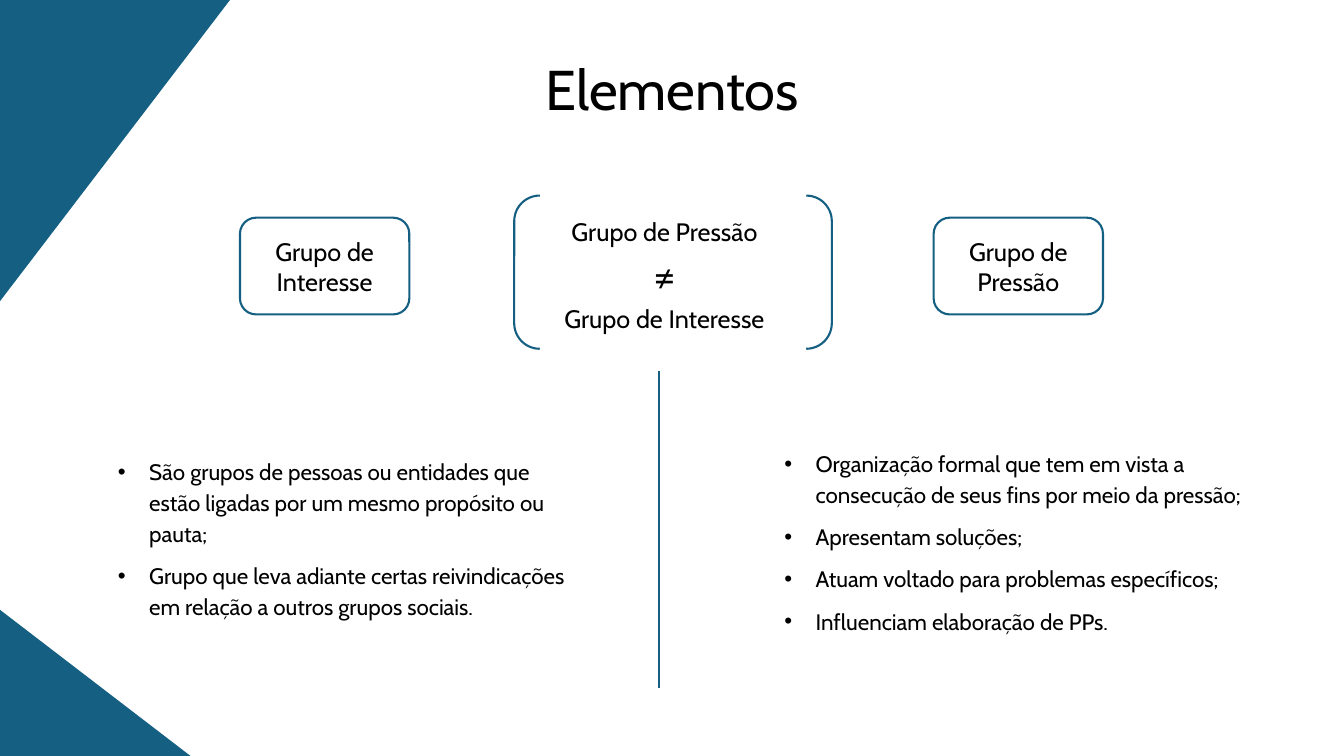
from dataclasses import dataclass

from lxml.etree import SubElement
from pptx import Presentation
from pptx.dml.color import RGBColor
from pptx.enum.shapes import MSO_CONNECTOR, MSO_SHAPE as Shp
from pptx.enum.text import MSO_ANCHOR as Anchor, MSO_AUTO_SIZE as AutoSize, PP_ALIGN as Align
from pptx.oxml.ns import qn
from pptx.util import Inches, Length, Pt

BLUE = "156082"
BLACK = "000000"
INDENT = Inches(0.31)

Box = tuple[float, float, float, float]


@dataclass
class Figure:
    kind: Shp
    box: Box
    filled: bool = False
    rotation: float = 0
    label: str = ""


@dataclass
class BulletList:
    box: Box
    items: list[str]


FIGURES = [
    Figure(Shp.RIGHT_TRIANGLE, (-0.36, 0.35, 3, 2.29), filled=True, rotation=90),
    Figure(Shp.RIGHT_TRIANGLE, (0, 6.05, 1.89, 1.45), filled=True),
    Figure(Shp.DOUBLE_BRACKET, (5.1, 1.94, 3.15, 1.52)),
    Figure(Shp.ROUNDED_RECTANGLE, (2.38, 2.16, 1.68, 0.96), label="Grupo de Interesse"),
    Figure(Shp.ROUNDED_RECTANGLE, (9.26, 2.16, 1.68, 0.96), label="Grupo de Pressão"),
]

LISTS = [
    BulletList((1.07, 4.46, 4.81, 2.51), [
        "São grupos de pessoas ou entidades que estão ligadas por um mesmo propósito ou pauta;",
        "Grupo que leva adiante certas reivindicações em relação a outros grupos sociais.",
    ]),
    BulletList((7.68, 4.38, 4.81, 2.74), [
        "Organização formal que tem em vista a consecução de seus fins por meio da pressão;",
        "Apresentam soluções;",
        "Atuam voltado para problemas específicos;",
        "Influenciam elaboração de PPs.",
    ]),
]


def rgb(value: str) -> RGBColor:
    return RGBColor.from_string(value)


def inches(box: Box) -> list[Length]:
    return [Inches(v) for v in box]


def place(sp, box: Box) -> None:
    sp.left, sp.top, sp.width, sp.height = inches(box)


def add_bullet(p) -> None:
    pPr = p._p.get_or_add_pPr()
    pPr.set("marL", str(INDENT))
    pPr.set("indent", str(-INDENT))
    SubElement(pPr, qn("a:buFont")).set("typeface", "Arial")
    SubElement(pPr, qn("a:buChar")).set("char", "•")


def write(sp, lines: list[str], size: float, font: str = "Cabin", anchor=Anchor.TOP,
          bullets: bool = False, **spacing) -> None:
    """Fill a shape with one paragraph per line; spacing holds paragraph attributes."""
    tf = sp.text_frame
    for name, value in {"word_wrap": True, "auto_size": AutoSize.NONE,
                        "vertical_anchor": anchor}.items():
        setattr(tf, name, value)
    layout = {"alignment": Align.LEFT if bullets else Align.CENTER,
              "space_before": Pt(0), **spacing}
    for i, line in enumerate(lines):
        p = tf.add_paragraph() if i else tf.paragraphs[0]
        for name, value in layout.items():
            setattr(p, name, value)
        if bullets:
            add_bullet(p)
        r = p.add_run()
        r.text = line
        for name, value in {"name": font, "size": Pt(size)}.items():
            setattr(r.font, name, value)
        r.font.color.rgb = rgb(BLACK)


def add_figure(s, figure: Figure) -> None:
    sp = s.shapes.add_shape(figure.kind, *inches(figure.box))
    sp.shadow.inherit = False
    sp.rotation = figure.rotation
    if figure.filled:
        sp.fill.solid()
        sp.fill.fore_color.rgb = rgb(BLUE)
        sp.line.fill.background()
    else:
        sp.fill.background()
        sp.line.color.rgb = rgb(BLUE)
        sp.line.width = Pt(1.5)
    if figure.label:
        write(sp, [figure.label], 18, anchor=Anchor.MIDDLE)


def add_divider(s, x: float, top: float, bottom: float) -> None:
    line = s.shapes.add_connector(MSO_CONNECTOR.STRAIGHT, Inches(x), Inches(top),
                                  Inches(x), Inches(bottom))
    line.line.color.rgb = rgb(BLUE)
    line.line.width = Pt(1.5)
    SubElement(line._element.spPr, qn("a:effectLst"))


def main() -> None:
    prs = Presentation()
    prs.slide_width, prs.slide_height = Inches(13.33), Inches(7.5)
    s = prs.slides.add_slide(prs.slide_layouts.get_by_name("Two Content"))

    title, *bodies = s.placeholders
    place(title, (0, 0.44, 13.33, 0.96))
    write(title, ["Elementos"], 40, anchor=Anchor.MIDDLE, line_spacing=0.9)

    for body, bullet_list in zip(bodies, LISTS):
        place(body, bullet_list.box)
        write(body, bullet_list.items, 16, bullets=True, line_spacing=1.15, space_after=Pt(8))

    for figure in FIGURES:
        add_figure(s, figure)
    add_divider(s, 6.54, 3.68, 6.83)

    groups = s.shapes.add_textbox(*inches((5.32, 2.05, 2.54, 1.31)))
    write(groups, ["Grupo de Pressão", "Grupo de Interesse"], 18,
          line_spacing=1.15, space_after=Pt(37.5))
    unequal = s.shapes.add_textbox(*inches((5.39, 2.39, 2.4, 0.62)))
    write(unequal, ["≠"], 28, font="Lato", line_spacing=1.15)

    prs.save("out.pptx")


if __name__ == "__main__":
    main()
